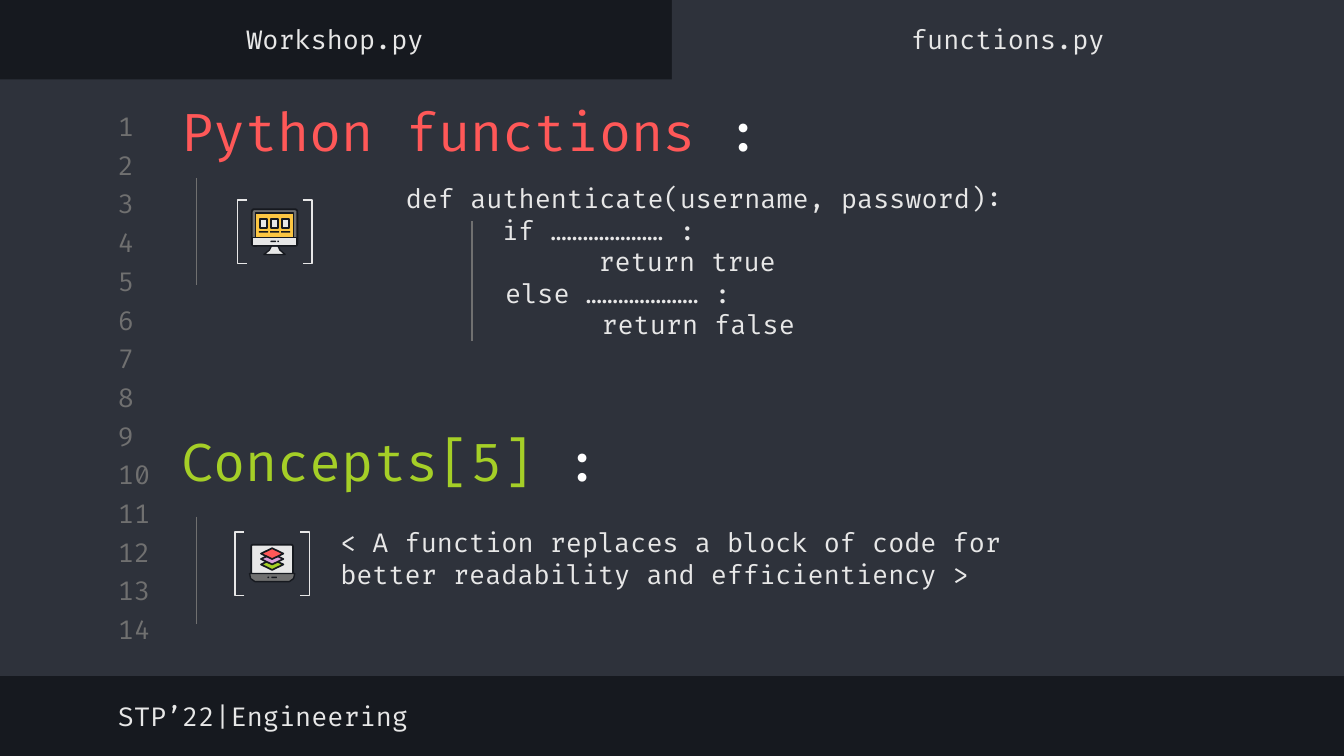
from dataclasses import dataclass
from typing import Any, Optional

from lxml import etree
from pptx import Presentation
from pptx import util as u
from pptx.dml.color import RGBColor
from pptx.enum import shapes, text
from pptx.oxml.ns import qn

DARK = RGBColor(0x16, 0x19, 0x1F)
PANEL = RGBColor(0x2E, 0x32, 0x3B)
GRAY = RGBColor(0x70, 0x70, 0x70)
LIGHT = RGBColor(0xE7, 0xE7, 0xE7)
WHITE = RGBColor(0xFF, 0xFF, 0xFF)
RED = RGBColor(0xFF, 0x58, 0x58)
GREEN = RGBColor(0xA5, 0xCF, 0x27)
LILAC = RGBColor(0xDB, 0xA0, 0xDB)
YELLOW = RGBColor(0xFC, 0xC6, 0x42)

KIND = shapes.MSO_SHAPE
MIDDLE, TOP = text.MSO_ANCHOR.MIDDLE, text.MSO_ANCHOR.TOP
LEFT, CENTER = text.PP_ALIGN.LEFT, text.PP_ALIGN.CENTER
FRAME_FORMAT = {
    "word_wrap": True, "auto_size": text.MSO_AUTO_SIZE.NONE,
    "margin_left": u.Pt(7.2), "margin_right": u.Pt(7.2),
    "margin_top": u.Pt(7.2), "margin_bottom": u.Pt(7.2),
}
CHAR_WIDTH = 8.6


@dataclass
class Span:
    """Words in one colour."""
    words: str
    color: RGBColor = LIGHT


@dataclass
class Line:
    """One paragraph, indented by points."""
    spans: list[Span]
    indent: float = 0


@dataclass
class Label:
    """A text box in points."""
    x: float
    y: float
    width: float
    height: float
    lines: list[Line]
    size: float = 14
    align: Any = LEFT
    anchor: Any = MIDDLE


@dataclass
class Part:
    """A preset shape in points."""
    kind: Any
    x: float
    y: float
    width: float
    height: float
    fill: Optional[RGBColor] = None
    line: Optional[RGBColor] = None
    weight: float = 0.75
    corner: Optional[float] = None


@dataclass
class Rule:
    """A vertical guide line in points."""
    x: float
    top: float
    bottom: float


def apply(target: Any, values: dict[str, Any]) -> None:
    """Set every named attribute on the target."""
    for name, value in values.items():
        setattr(target, name, value)


def paint(shape: Any, fill: Optional[RGBColor], line: Optional[RGBColor], weight: float) -> None:
    """Give a shape its fill and outline, without shadow."""
    shape.shadow.inherit = False
    for form, color in ((shape.fill, fill), (shape.line.fill, line)):
        if color is None:
            form.background()
        else:
            form.solid()
            form.fore_color.rgb = color
    if line is not None:
        shape.line.width = u.Pt(weight)


def draw_part(target: Any, part: Part) -> None:
    """Draw a preset shape."""
    shape = target.add_shape(part.kind, *map(u.Pt, (part.x, part.y, part.width, part.height)))
    if part.corner is not None:
        shape.adjustments[0] = part.corner
    paint(shape, part.fill, part.line, part.weight)


def draw_outline(target: Any, points: list[tuple[float, float]], fill: RGBColor) -> None:
    """Draw a closed polygon with a dark edge."""
    corners = [(u.Pt(x), u.Pt(y)) for x, y in points]
    builder = target.build_freeform(*corners[0])
    builder.add_line_segments(corners[1:], close=True)
    paint(builder.convert_to_shape(), fill, DARK, 0.75)


def draw_label(page: Any, label: Label) -> None:
    """Draw a text box with its paragraphs."""
    box = page.shapes.add_textbox(*map(u.Pt, (label.x, label.y, label.width, label.height)))
    frame = box.text_frame
    apply(frame, FRAME_FORMAT | {"vertical_anchor": label.anchor})
    for index, line in enumerate(label.lines):
        para = frame.add_paragraph() if index else frame.paragraphs[0]
        para.alignment = label.align
        if line.indent:
            apply_indent = para._p.get_or_add_pPr().set
            apply_indent("marL", str(u.Pt(line.indent)))
            apply_indent("indent", "0")
        for part in line.spans:
            span = para.add_run()
            span.text = part.words
            apply(span.font, {"name": "Fira Code", "size": u.Pt(label.size)})
            span.font.color.rgb = part.color


def draw_rule(page: Any, rule: Rule) -> None:
    """Draw a thin vertical guide."""
    line = page.shapes.add_connector(
        shapes.MSO_CONNECTOR.STRAIGHT, *map(u.Pt, (rule.x, rule.top, rule.x, rule.bottom)))
    line.line.color.rgb = GRAY
    line.line.width = u.Pt(0.75)
    etree.SubElement(line._element.spPr, qn("a:effectLst"))


def draw_brackets(page: Any, x: float, y: float) -> None:
    """Draw a pair of square brackets."""
    group = page.shapes.add_group_shape().shapes
    for kind, left in ((KIND.LEFT_BRACKET, x), (KIND.RIGHT_BRACKET, x + 35)):
        draw_part(group, Part(kind, left, y, 5, 34, line=LIGHT, corner=0))


def draw_marks(group: Any, x: float, y: float, dash_x: float, dot_x: float) -> None:
    """Draw the dash and dot on the base of a computer."""
    draw_part(group, Part(KIND.ROUNDED_RECTANGLE, x + dash_x, y, 3, 0.9, DARK, corner=0.5))
    draw_part(group, Part(KIND.OVAL, x + dot_x, y, 0.9, 0.9, DARK))


def draw_monitor(page: Any) -> None:
    """Draw the desktop monitor icon."""
    group = page.shapes.add_group_shape().shapes
    draw_outline(group, [(145.4, 131.8), (149, 131.8), (150, 134), (152.8, 136.3),
                         (141.4, 136.3), (144.4, 134)], LIGHT)
    draw_part(group, Part(KIND.ROUNDED_RECTANGLE, 134.9, 112.1, 24.4, 19.6, GRAY, DARK, 1, 0.06))
    draw_part(group, Part(KIND.RECTANGLE, 137, 114.1, 20.2, 13.3, YELLOW, DARK))
    draw_part(group, Part(KIND.RECTANGLE, 135.2, 127.4, 23.8, 4.1, LIGHT, DARK))
    for column in range(3):
        x = 139.2 + 5.95 * column
        draw_part(group, Part(KIND.RECTANGLE, x, 117.2, 3.9, 5, LIGHT, DARK, 0.9))
        draw_part(group, Part(KIND.RECTANGLE, x - 0.5, 123.9, 4.9, 0.8, DARK))
    draw_marks(group, 144.9, 128.9, 0, 3.7)


def draw_laptop(page: Any) -> None:
    """Draw the laptop icon with three stacked layers."""
    group = page.shapes.add_group_shape().shapes
    draw_part(group, Part(KIND.ROUNDED_RECTANGLE, 134.6, 291.8, 22.4, 15.8, LIGHT, DARK, 0.9, 0.06))
    draw_outline(group, [(133.7, 307.3), (157.9, 307.3), (157.3, 310), (155, 311.6),
                         (136.6, 311.6), (134.3, 310)], GRAY)
    for level, color in enumerate((GREEN, LILAC, RED)):
        draw_part(group, Part(KIND.DIAMOND, 139.8, 299.5 - 2.9 * level, 12, 5.8, color, DARK, 0.9))
    draw_marks(group, 143.3, 308.9, 2.1, 0)


DOTS = "\u2026" * 7
CODE = [
    Line([Span("def authenticate(username, password):")]),
    Line([Span(f"if {DOTS} :")], 6 * CHAR_WIDTH),
    Line([Span("return true")], 12 * CHAR_WIDTH),
    Line([Span(f"else {DOTS} :")], 36 + 2 * CHAR_WIDTH),
    Line([Span("return false")], 36 + 8 * CHAR_WIDTH),
]
NUMBERS = [Label(56.1, 59 + 20.74 * row, 34, 17, [Line([Span(str(row + 1), GRAY)])])
           for row in range(14)]
LABELS = NUMBERS + [
    Label(-0.5, 7, 360, 28, [Line([Span("Workshop.py")])], align=CENTER),
    Label(360, 7, 360, 28, [Line([Span("functions.py")])], align=CENTER),
    Label(90, 49, 390, 42, [Line([Span("Python functions ", RED), Span(": ", WHITE)])], 28),
    Label(210.4, 90.7, 415.4, 265.7, CODE, anchor=TOP),
    Label(90, 226, 320, 42, [Line([Span("Concepts[5] ", GREEN), Span(":", WHITE)])], 28),
    Label(175.2, 268, 404.6, 62, [Line([Span(
        "< A function replaces a block of code for better readability and efficientiency >")])]),
    Label(56.1, 369.5, 383, 28, [Line([Span("STP\u201922|Engineering")])]),
]
PANELS = [Part(KIND.RECTANGLE, 0, 42.5, 720, 319.7, PANEL),
          Part(KIND.RECTANGLE, 360, 0, 360, 46.8, PANEL)]
RULES = [Rule(105.2, 95.3, 152.6), Rule(252.8, 118.6, 182.6), Rule(105.2, 276.8, 334.2)]

deck = Presentation()
apply(deck, {"slide_width": u.Pt(720), "slide_height": u.Pt(405)})
page = deck.slides.add_slide(deck.slide_layouts[6])
page.background.fill.solid()
page.background.fill.fore_color.rgb = DARK
for panel in PANELS:
    draw_part(page.shapes, panel)
for label in LABELS:
    draw_label(page, label)
for rule in RULES:
    draw_rule(page, rule)
draw_monitor(page)
draw_laptop(page)
for x, y in ((127.2, 107.2), (126, 284.9)):
    draw_brackets(page, x, y)
deck.save("out.pptx")
